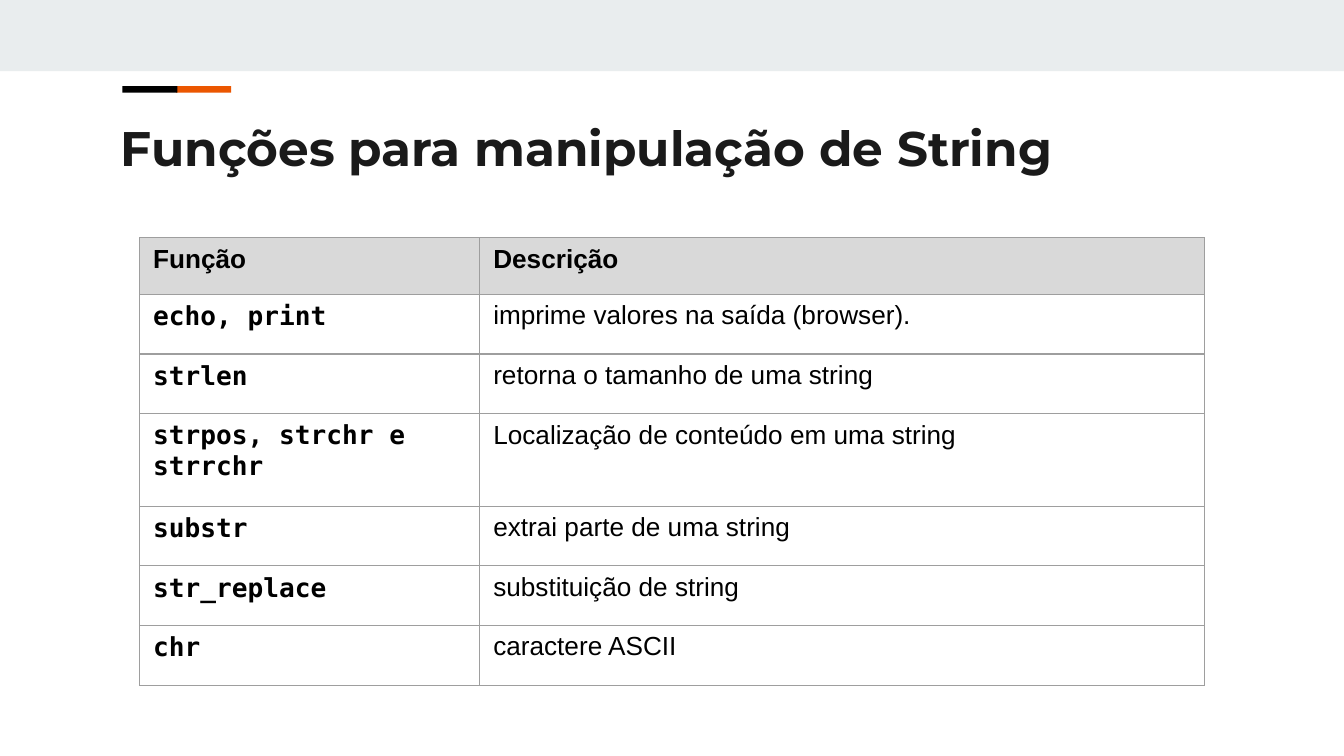
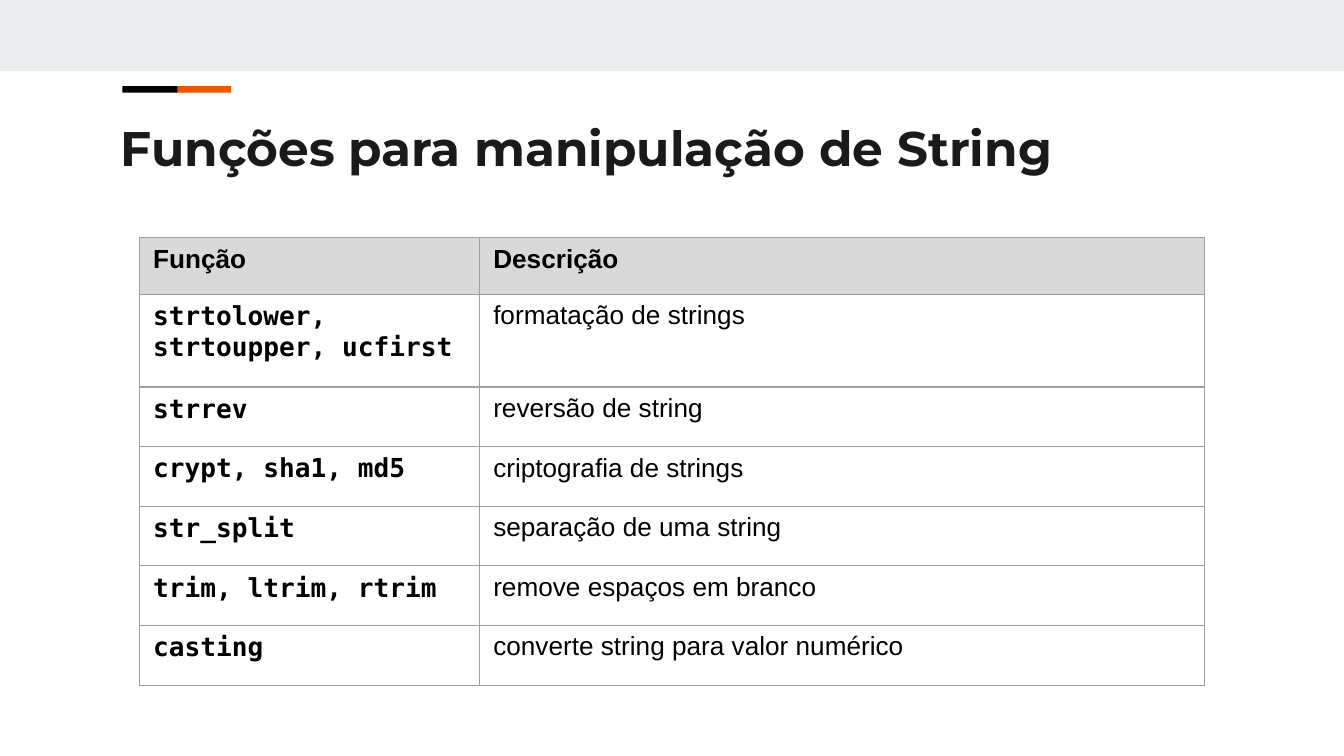
"""Build two slides that list string functions in a bordered table."""
from typing import NamedTuple

from lxml import etree
from pptx import Presentation
from pptx.dml.color import RGBColor
from pptx.enum.shapes import MSO_SHAPE
from pptx.enum.text import MSO_ANCHOR, MSO_AUTO_SIZE, PP_ALIGN
from pptx.oxml.ns import qn
from pptx.util import Inches, Pt

RECTANGLE = MSO_SHAPE.RECTANGLE
TOP = MSO_ANCHOR.TOP
LEFT = PP_ALIGN.LEFT
NO_AUTOFIT = MSO_AUTO_SIZE.NONE

COLORS = {
    "band": "E9EDEE",
    "black": "000000",
    "accent": "EB5600",
    "title": "1A1A1A",
    "header": "D9D9D9",
    "border": "9E9E9E",
}
SLIDE_WIDTH = 10
SLIDE_HEIGHT = SLIDE_WIDTH * 9 / 16
TITLE = "Funções para manipulação de String"
HEADER = ("Função", "Descrição")
TITLE_LAYOUT = 5
COLUMN_WIDTHS = (2.53, 5.39)
FRAME_HEIGHT = 2.92
ROWS_HEIGHT, HEADER_HEIGHT, TALL_ROW_HEIGHT = 3.33, 0.42, 0.69
ROW_HEIGHT = (ROWS_HEIGHT - HEADER_HEIGHT - TALL_ROW_HEIGHT) / 5
NAME_LINE_LENGTH = 20
BORDER_WIDTH = Pt(0.74)


class Bar(NamedTuple):
    left: float
    top: float
    width: float
    height: float
    color: str


class Entry(NamedTuple):
    name: str
    description: str


class Style(NamedTuple):
    font: str
    size: int
    bold: bool
    color: str


BARS = (
    Bar(0, 0, SLIDE_WIDTH, 0.53, "band"),
    Bar(1.31, 0.64, 0.41, 0.05, "accent"),
    Bar(0.91, 0.64, 0.41, 0.05, "black"),
)
TITLE_STYLE = Style("Montserrat", 26, True, "title")
HEADER_STYLE = Style("Arial", 14, True, "black")
NAME_STYLE = Style("DejaVu Sans Mono", 14, True, "black")
DESCRIPTION_STYLE = Style("Arial", 14, False, "black")

PAGES = (
    (
        Entry("echo, print", "imprime valores na saída (browser)."),
        Entry("strlen", "retorna o tamanho de uma string"),
        Entry("strpos, strchr e strrchr", "Localização de conteúdo em uma string"),
        Entry("substr", "extrai parte de uma string"),
        Entry("str_replace", "substituição de string"),
        Entry("chr", "caractere ASCII"),
    ),
    (
        Entry("strtolower, strtoupper, ucfirst", "formatação de strings"),
        Entry("strrev", "reversão de string"),
        Entry("crypt, sha1, md5", "criptografia de strings"),
        Entry("str_split", "separação de uma string"),
        Entry("trim, ltrim, rtrim", "remove espaços em branco"),
        Entry("casting", "converte string para valor numérico"),
    ),
)


def rgb(name: str) -> RGBColor:
    """Return the named palette colour."""
    return RGBColor.from_string(COLORS[name])


def set_attributes(target, values: dict) -> None:
    """Set each attribute of the target from a dict."""
    for name, value in values.items():
        setattr(target, name, value)


def write_text(frame, text: str, style: Style) -> None:
    """Write one styled paragraph into a text frame."""
    para = frame.paragraphs[0]
    para.alignment = LEFT
    span = para.add_run()
    span.text = text
    set_attributes(
        span.font,
        {"name": style.font, "size": Pt(style.size), "bold": style.bold},
    )
    span.font.color.rgb = rgb(style.color)


def draw_bar(page, bar: Bar) -> None:
    """Draw a plain filled rectangle."""
    lengths = (Inches(length) for length in bar[:4])
    box = page.shapes.add_shape(RECTANGLE, *lengths)
    box.shadow.inherit = False
    box.fill.solid()
    box.fill.fore_color.rgb = rgb(bar.color)
    box.line.fill.background()


def draw_title(page) -> None:
    """Place and format the title placeholder."""
    box = page.shapes.title
    set_attributes(box, {
        "left": Inches(0.8), "top": Inches(0.78),
        "width": Inches(8.41), "height": Inches(0.59),
    })
    inset = Inches(0.1)
    set_attributes(box.text_frame, {
        "margin_left": inset, "margin_top": inset,
        "margin_right": inset, "margin_bottom": inset,
        "vertical_anchor": TOP, "auto_size": NO_AUTOFIT, "word_wrap": True,
    })
    write_text(box.text_frame, TITLE, TITLE_STYLE)


def draw_borders(cell) -> None:
    """Give a cell a thin line on all four sides."""
    properties = cell._tc.get_or_add_tcPr()
    for side in ("a:lnL", "a:lnR", "a:lnT", "a:lnB"):
        line = etree.SubElement(properties, qn(side), w=str(int(BORDER_WIDTH)))
        fill = etree.SubElement(line, qn("a:solidFill"))
        etree.SubElement(fill, qn("a:srgbClr"), val=COLORS["border"])


def fill_cell(cell, text: str, style: Style, is_header: bool) -> None:
    """Format one table cell and write its text."""
    set_attributes(cell, {
        "margin_left": Inches(0.1), "margin_right": Inches(0.1),
        "margin_top": Inches(0.05), "margin_bottom": Inches(0.05),
        "vertical_anchor": TOP,
    })
    draw_borders(cell)
    if is_header:
        cell.fill.solid()
        cell.fill.fore_color.rgb = rgb("header")
    else:
        cell.fill.background()
    write_text(cell.text_frame, text, style)


def row_height(entry: Entry) -> float:
    """Return a taller row for a name that needs two lines."""
    return TALL_ROW_HEIGHT if len(entry.name) > NAME_LINE_LENGTH else ROW_HEIGHT


def draw_table(page, entries: tuple[Entry, ...]) -> None:
    """Draw the table of functions and descriptions."""
    heights = [HEADER_HEIGHT, *map(row_height, entries)]
    box = page.shapes.add_table(
        len(heights), len(COLUMN_WIDTHS), Inches(1.04), Inches(1.77),
        Inches(sum(COLUMN_WIDTHS)), Inches(FRAME_HEIGHT),
    )
    table = box.table
    set_attributes(table, {"first_row": False, "horz_banding": False})
    for column, width in zip(table.columns, COLUMN_WIDTHS):
        column.width = Inches(width)
    for index, (texts, height) in enumerate(zip((HEADER, *entries), heights)):
        is_header = index == 0
        table.rows[index].height = Inches(height)
        styles = (HEADER_STYLE,) * 2 if is_header else (NAME_STYLE, DESCRIPTION_STYLE)
        for cell, text, style in zip(table.rows[index].cells, texts, styles):
            fill_cell(cell, text, style, is_header)
    box.height = Inches(FRAME_HEIGHT)


def build_page(deck, entries: tuple[Entry, ...]) -> None:
    """Add one slide with its bars, title and table."""
    page = deck.slides.add_slide(deck.slide_layouts[TITLE_LAYOUT])
    for bar in BARS:
        draw_bar(page, bar)
    draw_title(page)
    draw_table(page, entries)


def main() -> None:
    """Build and save the deck."""
    deck = Presentation()
    set_attributes(deck, {
        "slide_width": Inches(SLIDE_WIDTH),
        "slide_height": Inches(SLIDE_HEIGHT),
    })
    for entries in PAGES:
        build_page(deck, entries)
    deck.save("out.pptx")


main()
